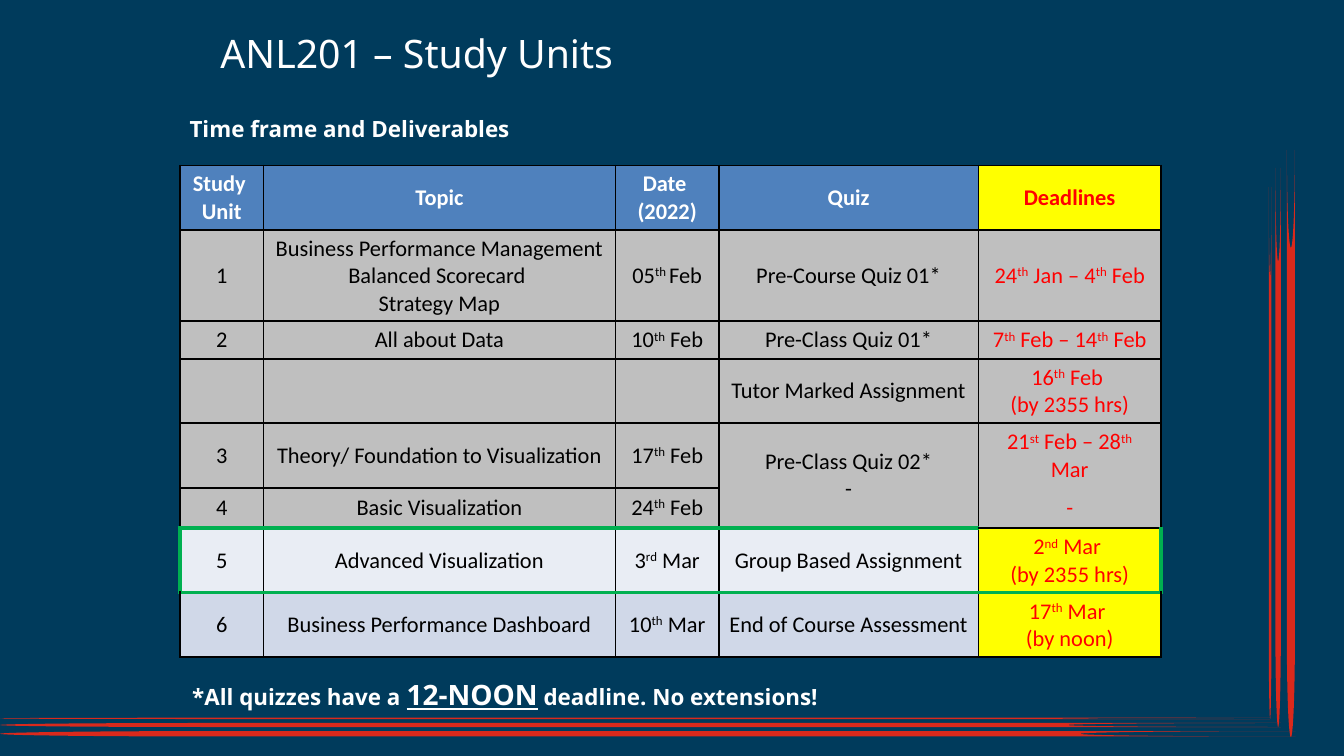
from pptx import Presentation
from pptx.dml.color import RGBColor
from pptx.enum.shapes import MSO_SHAPE
from pptx.enum.text import MSO_ANCHOR, PP_ALIGN
from pptx.oxml.ns import qn
from pptx.util import Inches, Pt
from lxml.etree import SubElement

NAVY = RGBColor(0x00, 0x3B, 0x5C)
STREAK_RED = RGBColor(0xDA, 0x29, 0x1C)
WHITE = RGBColor(0xFF, 0xFF, 0xFF)
BLACK = RGBColor(0x00, 0x00, 0x00)
RED = RGBColor(0xFF, 0x00, 0x00)
YELLOW = RGBColor(0xFF, 0xFF, 0x00)
GREEN = RGBColor(0x00, 0xB0, 0x50)
BLUE = RGBColor(0x4F, 0x81, 0xBD)
GREY = RGBColor(0xBF, 0xBF, 0xBF)
PALE = RGBColor(0xE9, 0xED, 0xF4)
LIGHT_BLUE = RGBColor(0xD0, 0xD8, 0xE8)

TITLE = "ANL201 – Study Units"
SUBTITLE = "Time frame and Deliverables"
FOOTNOTE = ["*All quizzes have a ", "12-NOON", " deadline. No extensions!"]

# Text between a pair of ^ marks is superscript; \n starts a new paragraph.
ROWS = [
    ["Study \nUnit", "Topic", "Date \n(2022)", "Quiz", "Deadlines"],
    ["1", "Business Performance Management\nBalanced Scorecard \nStrategy Map",
     "05^th ^Feb", "Pre-Course Quiz 01*", "24^th^ Jan – 4^th^ Feb"],
    ["2", "All about Data", "10^th^ Feb", "Pre-Class Quiz 01*", "7^th^ Feb – 14^th^ Feb"],
    ["", "", "", "Tutor Marked Assignment", "16^th^ Feb \n(by 2355 hrs)"],
    ["3", "Theory/ Foundation to Visualization", "17^th^ Feb",
     "Pre-Class Quiz 02*\n-", "21^st^ Feb – 28^th^ Mar"],
    ["4", "Basic Visualization", "24^th^ Feb", "", "-"],
    ["5", "Advanced Visualization", "3^rd^ Mar", "Group Based Assignment",
     "2^nd^ Mar \n(by 2355 hrs)"],
    ["6", "Business Performance Dashboard", "10^th^ Mar", "End of Course Assessment",
     "17^th^ Mar \n(by noon)"],
]
COLUMN_WIDTHS = [0.62, 2.62, 0.77, 1.93, 1.36]
ROW_HEIGHTS = [0.47, 0.68, 0.28, 0.47, 0.28, 0.28, 0.47, 0.47]
ROW_FILLS = [BLUE] + [GREY] * 5 + [PALE, LIGHT_BLUE]
QUIZ, DEADLINE = 3, 4
SHARED, CURRENT = 4, 6  # first row of the merged quiz; row framed in green

# left, top, width, height, rotation
STREAKS = [
    (0, 5.34, 9.45, 0.01, 0),
    (0, 5.38, 9.53, 0.03, 0),
    (0, 5.44, 9.64, 0.04, 0),
    (7.47, 3.36, 3.96, 0.02, 270),
    (7.43, 3.31, 4.16, 0.04, 270),
    (7.42, 3.27, 4.37, 0.06, 270),
]


def add_span(para, text, size=12, font="Noto Sans", color=WHITE, bold=False,
             underline=False, superscript=False):
    span = para.add_run()
    span.text = text
    span.font.name = font
    span.font.size = Pt(size)
    span.font.color.rgb = color
    span.font.bold = bold
    span.font.underline = underline
    if superscript:
        span.font._element.set("baseline", "30000")


def set_margins(target):
    target.margin_left = target.margin_right = Inches(0.07)
    target.margin_top = target.margin_bottom = Inches(0.04)


def place(shape, left, top, width, height):
    shape.left, shape.top = Inches(left), Inches(top)
    shape.width, shape.height = Inches(width), Inches(height)


def add_line(page, left, top):
    """Add a one-line text box and return its paragraph."""
    box = page.shapes.add_textbox(Inches(left), Inches(top), Inches(6.19), Inches(0.25))
    box.text_frame.word_wrap = True
    set_margins(box.text_frame)
    return box.text_frame.paragraphs[0]


def cell_borders(row, column):
    """Return side -> colour, with None for an open side."""
    sides = dict.fromkeys(("L", "R", "T", "B"), BLACK)
    last = column == DEADLINE
    if row == CURRENT:
        sides["B"] = GREEN
        if column == 0:
            sides["L"] = GREEN
        if last:
            sides["R"] = GREEN
        else:
            sides["T"] = GREEN
    elif row == CURRENT + 1:
        sides["T"] = GREEN
    elif row == CURRENT - 1 and not last:
        sides["B"] = GREEN
    if last and row == SHARED:
        sides["B"] = None
    if last and row == SHARED + 1:
        sides["T"] = None
    if column == QUIZ and row == SHARED:
        sides["B"] = GREEN
    return sides


def draw_borders(cell, sides):
    properties = cell._tc.get_or_add_tcPr()
    for side, color in sides.items():
        line = SubElement(properties, qn(f"a:ln{side}"))
        line.set("w", str(Pt(2.25 if color == GREEN else 1)))
        if color is None:
            SubElement(line, qn("a:noFill"))
        else:
            fill = SubElement(line, qn("a:solidFill"))
            SubElement(fill, qn("a:srgbClr")).set("val", str(color))


def fill_cell(cell, row, column):
    header, last = row == 0, column == DEADLINE
    draw_borders(cell, cell_borders(row, column))
    cell.fill.solid()
    highlighted = last and (header or row >= CURRENT)
    cell.fill.fore_color.rgb = YELLOW if highlighted else ROW_FILLS[row]
    if not (last and row == SHARED + 1):
        cell.vertical_anchor = MSO_ANCHOR.MIDDLE
        set_margins(cell)
    if not ROWS[row][column]:
        return
    color = RED if last else WHITE if header else BLACK
    for index, line in enumerate(ROWS[row][column].split("\n")):
        frame = cell.text_frame
        para = frame.add_paragraph() if index else frame.paragraphs[0]
        para.alignment = PP_ALIGN.CENTER
        for part, text in enumerate(line.split("^")):
            if text:
                add_span(para, text, font="Calibri", color=color, bold=header,
                         superscript=part % 2 == 1)


def add_schedule(page):
    table = page.shapes.add_table(
        len(ROWS), len(COLUMN_WIDTHS), Inches(1.34), Inches(1.23),
        Inches(sum(COLUMN_WIDTHS)), Inches(sum(ROW_HEIGHTS))).table
    for column, width in zip(table.columns, COLUMN_WIDTHS):
        column.width = Inches(width)
    for row, height in zip(table.rows, ROW_HEIGHTS):
        row.height = Inches(height)
    table.cell(SHARED, QUIZ).merge(table.cell(SHARED + 1, QUIZ))
    for row in range(len(ROWS)):
        for column in range(len(COLUMN_WIDTHS)):
            fill_cell(table.cell(row, column), row, column)


def main():
    deck = Presentation()
    deck.slide_width, deck.slide_height = Inches(10), Inches(10 * 9 / 16)
    page = deck.slides.add_slide(deck.slide_layouts[5])
    page.background.fill.solid()
    page.background.fill.fore_color.rgb = NAVY

    for *bounds, rotation in STREAKS:
        streak = page.shapes.add_shape(MSO_SHAPE.FLOWCHART_STORED_DATA,
                                       *map(Inches, bounds))
        streak.rotation = rotation
        streak.shadow.inherit = False
        streak.fill.solid()
        streak.fill.fore_color.rgb = STREAK_RED
        streak.line.fill.background()

    title = page.shapes.title
    place(title, 1.57, 0.18, 6.19, 0.5)
    set_margins(title.text_frame)
    title.text_frame.vertical_anchor = MSO_ANCHOR.TOP
    title_para = title.text_frame.paragraphs[0]
    title_para.alignment = PP_ALIGN.LEFT
    add_span(title_para, TITLE, size=21)

    add_span(add_line(page, 1.34, 0.82), SUBTITLE, bold=True)
    add_schedule(page)

    footnote = add_line(page, 1.36, 5)
    for text in FOOTNOTE:
        stressed = text == "12-NOON"
        add_span(footnote, text, size=15 if stressed else 12, bold=True,
                 underline=stressed)

    deck.save("out.pptx")


if __name__ == "__main__":
    main()
